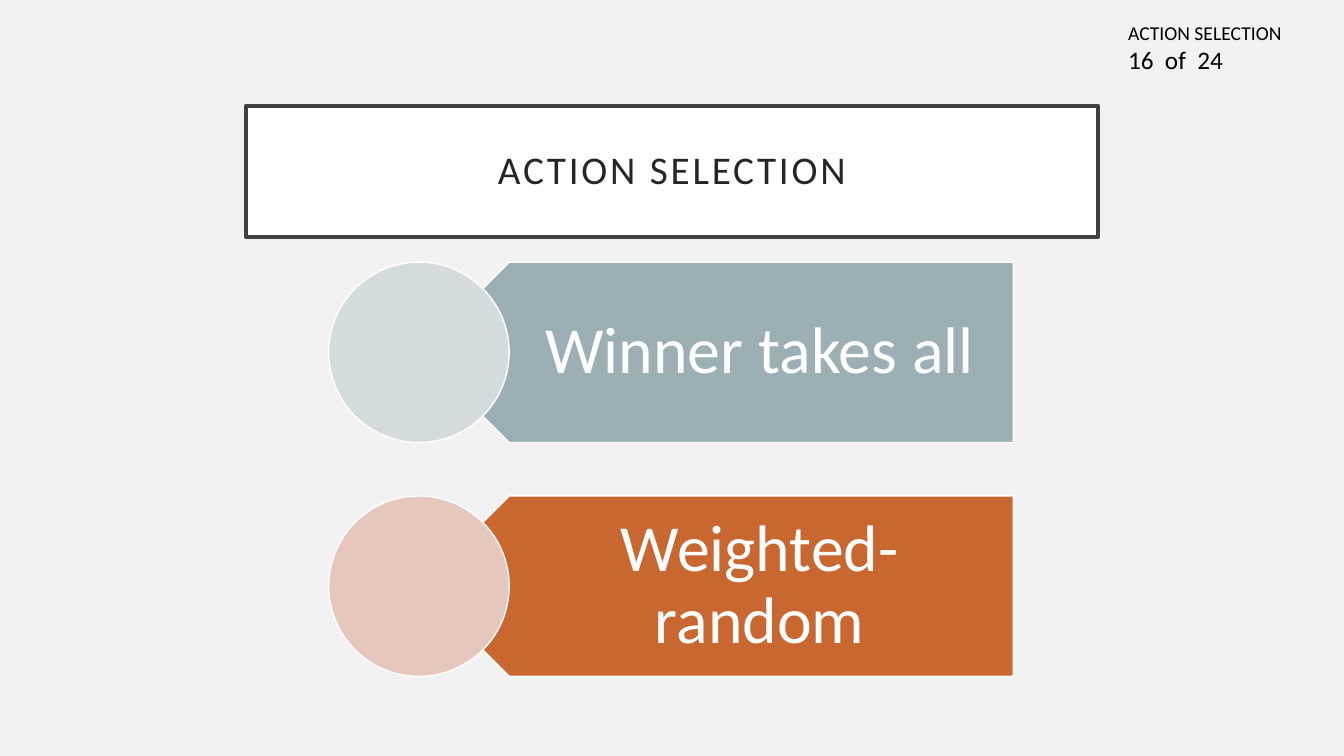
from dataclasses import dataclass

from pptx import Presentation
from pptx.dml.color import RGBColor
from pptx.enum.shapes import MSO_SHAPE
from pptx.enum.text import MSO_ANCHOR, PP_ALIGN
from pptx.util import Inches, Pt


@dataclass(frozen=True)
class Theme:
    font: str = "Calibri"
    background: str = "F2F2F2"
    white: str = "FFFFFF"
    black: str = "000000"
    title_text: str = "262626"
    title_border: str = "404040"
    title_size: int = 28
    label_size: int = 47
    topic_size: int = 14
    counter_size: int = 18


THEME = Theme()
OPTIONS = [
    ("Winner takes all", "9BAFB5", "D5DCDE"),
    ("Weighted-random", "C96731", "E6C7BE"),
]


def add_filled(s, kind, box, fill, line, line_width):
    sp = s.shapes.add_shape(kind, *map(Inches, box))
    sp.shadow.inherit = False
    sp.fill.solid()
    sp.fill.fore_color.rgb = RGBColor.from_string(fill)
    sp.line.color.rgb = RGBColor.from_string(line)
    sp.line.width = Pt(line_width)
    return sp


def style(p, size, color):
    p.font.name = THEME.font
    p.font.size = Pt(size)
    p.font.color.rgb = RGBColor.from_string(color)


def write_centred(sp, text, size, color, left=0.2, right=0.2):
    tf = sp.text_frame
    tf.word_wrap = True
    tf.vertical_anchor = MSO_ANCHOR.MIDDLE
    tf.margin_left, tf.margin_right = Inches(left), Inches(right)
    tf.margin_top = tf.margin_bottom = Inches(0.2)
    p = tf.paragraphs[0]
    p.text = text
    p.alignment = PP_ALIGN.CENTER
    p.line_spacing = 0.9
    style(p, size, color)
    return p


def add_title(s, box, text):
    sp = add_filled(s, MSO_SHAPE.RECTANGLE, box, THEME.white, THEME.title_border, 2.5)
    p = write_centred(sp, text, THEME.title_size, THEME.title_text)
    p.runs[0].font._element.set("spc", "200")  # letter spacing of 2 pt


def add_page_marker(s, box, topic, counter):
    tf = s.shapes.add_textbox(*map(Inches, box)).text_frame
    tf.word_wrap = True
    tf.text = f"{topic}\n{counter}"
    for p, size in zip(tf.paragraphs, (THEME.topic_size, THEME.counter_size)):
        style(p, size, THEME.black)


def add_option(s, box, label, color, tint):
    """Left-pointing banner whose tip lies under a circle as tall as the box."""
    left, top, width, height = box
    radius = height / 2
    banner_box = (left + radius, top, width - radius, height)
    banner = add_filled(s, MSO_SHAPE.PENTAGON, banner_box, color, THEME.white, 1)
    banner.rotation = 180

    text_left = left + radius * 1.5
    text_box = (text_left, top, left + width - text_left, height)
    tb = s.shapes.add_textbox(*map(Inches, text_box))
    write_centred(tb, label, THEME.label_size, THEME.white, left=0.79, right=0.37)

    add_filled(s, MSO_SHAPE.OVAL, (left, top, height, height), tint, THEME.white, 1)


def add_options(s, box, options, row_height):
    left, top, width, height = box
    step = (height - row_height) / (len(options) - 1)
    for i, option in enumerate(options):
        add_option(s, (left, top + i * step, width, row_height), *option)


def main():
    prs = Presentation()
    prs.slide_width, prs.slide_height = Inches(13.33), Inches(7.5)
    s = prs.slides.add_slide(prs.slide_layouts[6])
    s.background.fill.solid()
    s.background.fill.fore_color.rgb = RGBColor.from_string(THEME.background)

    add_title(s, (2.44, 1.05, 8.45, 1.3), "ACTION SELECTION")
    add_page_marker(s, (11.09, 0.16, 2.08, 0.64), "ACTION SELECTION", "16  of  24")
    add_options(s, (3.26, 2.6, 6.79, 4.11), OPTIONS, row_height=1.79)
    prs.save("out.pptx")


if __name__ == "__main__":
    main()
